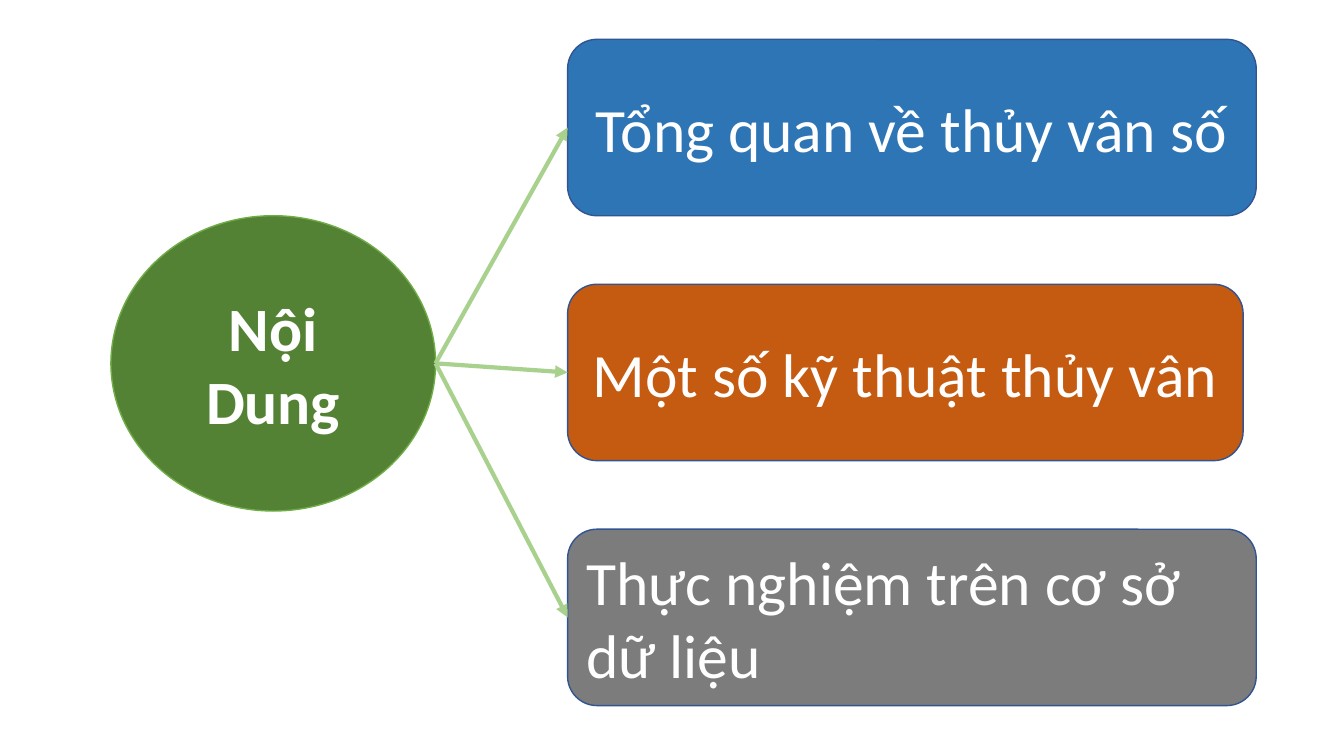
from lxml import etree
from pptx import Presentation
from pptx.dml.color import RGBColor
from pptx.enum.shapes import MSO_CONNECTOR, MSO_SHAPE
from pptx.enum.text import MSO_ANCHOR, PP_ALIGN
from pptx.oxml.ns import qn
from pptx.util import Inches, Pt

WHITE = RGBColor(0xFF, 0xFF, 0xFF)
GREEN = RGBColor(0x54, 0x82, 0x35)
GREEN_EDGE = RGBColor(0x70, 0xAD, 0x47)
GREEN_ARROW = RGBColor(0xA9, 0xD1, 0x8E)
BLUE = RGBColor(0x2E, 0x75, 0xB6)
ORANGE = RGBColor(0xC5, 0x5A, 0x11)
GRAY = RGBColor(0x7C, 0x7C, 0x7C)
BOX_EDGE = RGBColor(0x32, 0x54, 0x91)

# Box rows, in inches
BOX_LEFT, BOX_TOP = 5.63, 0.39
BOX_HEIGHT, ROW_STEP = 1.75, 2.43

presentation = Presentation()
presentation.slide_width = Inches(13.33)
presentation.slide_height = Inches(7.5)
slide = presentation.slides.add_slide(presentation.slide_layouts[6])


def add_label(kind, bounds, fill, edge, text, align=PP_ALIGN.CENTER, bold=False):
    shape = slide.shapes.add_shape(kind, *map(Inches, bounds))
    shape.shadow.inherit = False
    shape.fill.solid()
    shape.fill.fore_color.rgb = fill
    shape.line.color.rgb = edge
    shape.line.width = Pt(1)
    frame = shape.text_frame
    frame.word_wrap = True
    frame.vertical_anchor = MSO_ANCHOR.MIDDLE
    frame.text = text
    paragraph = frame.paragraphs[0]
    paragraph.alignment = align
    font = paragraph.runs[0].font
    font.name = "Calibri"
    font.size = Pt(44)
    font.bold = bold
    font.color.rgb = WHITE
    return shape


# Central topic
topic = add_label(MSO_SHAPE.OVAL, (1.1, 2.14, 3.22, 2.93), GREEN, GREEN_EDGE,
                  "Nội Dung", bold=True)

# Section boxes
sections = [
    ("Tổng quan về thủy vân số", BLUE, 6.83, PP_ALIGN.CENTER),
    ("Một số kỹ thuật thủy vân", ORANGE, 6.7, PP_ALIGN.CENTER),
    ("Thực nghiệm trên cơ sở dữ liệu", GRAY, 6.83, PP_ALIGN.LEFT),
]
boxes = []
for row, (text, fill, width, align) in enumerate(sections):
    bounds = (BOX_LEFT, BOX_TOP + row * ROW_STEP, width, BOX_HEIGHT)
    boxes.append(add_label(MSO_SHAPE.ROUNDED_RECTANGLE, bounds, fill, BOX_EDGE,
                           text, align))

# Arrows from the right of the topic to the left of each box
for box in boxes:
    arrow = slide.shapes.add_connector(
        MSO_CONNECTOR.STRAIGHT,
        topic.left + topic.width, topic.top + topic.height // 2,
        box.left, box.top + box.height // 2)
    arrow.line.color.rgb = GREEN_ARROW
    arrow.line.width = Pt(3)
    properties = arrow._element.spPr
    etree.SubElement(properties.find(qn("a:ln")), qn("a:tailEnd"), type="triangle")
    etree.SubElement(properties, qn("a:effectLst"))

presentation.save("out.pptx")
